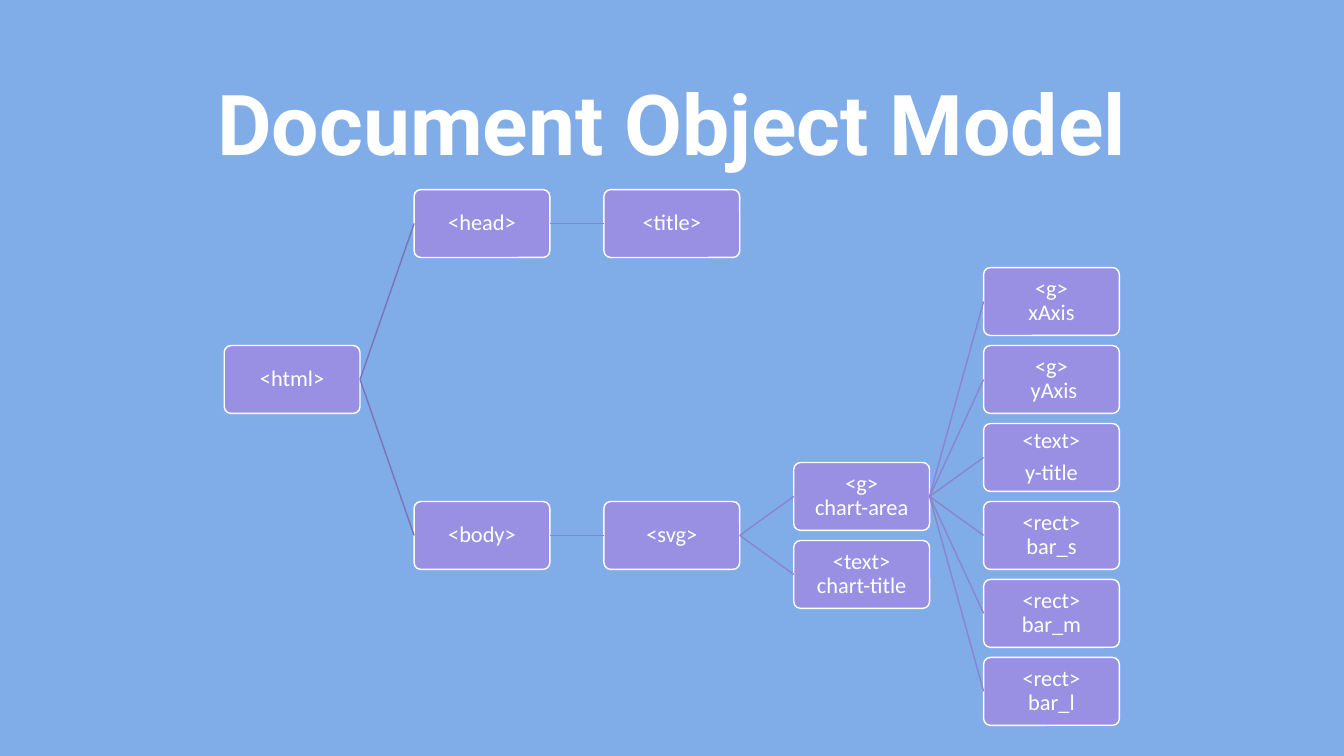
"""Build a slide showing the Document Object Model as a tree of elements."""
from lxml import etree
from pptx import Presentation
from pptx.dml.color import RGBColor
from pptx.enum.shapes import MSO_CONNECTOR, MSO_SHAPE
from pptx.enum.text import MSO_ANCHOR, PP_ALIGN
from pptx.oxml.ns import qn
from pptx.util import Pt

ROUNDED = MSO_SHAPE.ROUNDED_RECTANGLE
STRAIGHT = MSO_CONNECTOR.STRAIGHT
MIDDLE = MSO_ANCHOR.MIDDLE
CENTER = PP_ALIGN.CENTER
RIGHT_SIDE, LEFT_SIDE = 3, 1

TITLE = "Document Object Model"
BACKGROUND, NODE_FILL, WHITE = "80ADE7", "9A90E3", "FFFFFF"
ROOT_LINK, LINK = "7B73B6", "8C83CE"

# name: (parent, column, row, paragraphs as tuples of lines)
NODES = {
    "html": (None, 0, 2, [("<html>",)]),
    "head": ("html", 1, 0, [("<head>",)]),
    "title": ("head", 2, 0, [("<title>",)]),
    "body": ("html", 1, 4, [("<body>",)]),
    "svg": ("body", 2, 4, [("<svg>",)]),
    "chart area": ("svg", 3, 3.5, [("<g>", "chart-area")]),
    "x axis": ("chart area", 4, 1, [("<g>", "xAxis")]),
    "y axis": ("chart area", 4, 2, [("<g>", " yAxis")]),
    "y title": ("chart area", 4, 3, [("<text>",), ("y-title",)]),
    "small bar": ("chart area", 4, 4, [("<rect>", "bar_s")]),
    "medium bar": ("chart area", 4, 5, [("<rect>", "bar_m")]),
    "large bar": ("chart area", 4, 6, [("<rect>", "bar_l")]),
    "chart title": ("svg", 3, 4.5, [("<text>", "chart-title")]),
}

SLIDE_WIDTH, SLIDE_HEIGHT = 960, 540
TREE_LEFT, TREE_TOP = 160.2, 135.4
COLUMN_STEP, ROW_STEP = 135.6, 55.7
NODE_WIDTH, NODE_HEIGHT = 97, 48.5


def color(value):
    return RGBColor.from_string(value)


def style_paragraph(paragraph, font_name, size, bold=False):
    paragraph.alignment = CENTER
    font = paragraph.font
    font.name, font.size, font.bold = font_name, Pt(size), bold
    font.color.rgb = color(WHITE)


def add_title(slide):
    box = slide.shapes.add_textbox(0, Pt(47.5), Pt(SLIDE_WIDTH), Pt(80))
    box.text_frame.word_wrap = True
    paragraph = box.text_frame.paragraphs[0]
    paragraph.text = TITLE
    style_paragraph(paragraph, "Roboto", 60, True)


def add_node(slide, column, row, paragraphs):
    shape = slide.shapes.add_shape(
        ROUNDED,
        Pt(TREE_LEFT + column * COLUMN_STEP), Pt(TREE_TOP + row * ROW_STEP),
        Pt(NODE_WIDTH), Pt(NODE_HEIGHT))
    shape.adjustments[0] = 0.1
    shape.shadow.inherit = False
    shape.fill.solid()
    shape.fill.fore_color.rgb = color(NODE_FILL)
    shape.line.color.rgb = color(WHITE)
    shape.line.width = Pt(1)
    frame = shape.text_frame
    frame.word_wrap = True
    frame.vertical_anchor = MIDDLE
    frame.margin_left = frame.margin_right = Pt(1)
    frame.margin_top = frame.margin_bottom = Pt(1)
    for index, lines in enumerate(paragraphs):
        paragraph = frame.add_paragraph() if index else frame.paragraphs[0]
        for number, line in enumerate(lines):
            if number:
                paragraph.add_line_break()
            paragraph.add_run().text = line
        style_paragraph(paragraph, "Calibri", 16)
        paragraph.line_spacing = 0.9
        paragraph.space_after = Pt(5.6)
    return shape


def add_link(slide, parent, child, line_color):
    connector = slide.shapes.add_connector(STRAIGHT, 0, 0, 0, 0)
    connector.begin_connect(parent, RIGHT_SIDE)
    connector.end_connect(child, LEFT_SIDE)
    connector.line.color.rgb = color(line_color)
    connector.line.width = Pt(1)
    etree.SubElement(connector._element.spPr, qn("a:effectLst"))


def main():
    presentation = Presentation()
    presentation.slide_width = Pt(SLIDE_WIDTH)
    presentation.slide_height = Pt(SLIDE_HEIGHT)
    slide = presentation.slides.add_slide(presentation.slide_layouts[6])
    slide.background.fill.solid()
    slide.background.fill.fore_color.rgb = color(BACKGROUND)
    add_title(slide)
    shapes = {}
    for name, (parent, column, row, paragraphs) in NODES.items():
        shapes[name] = add_node(slide, column, row, paragraphs)
        if parent:
            line_color = ROOT_LINK if parent == "html" else LINK
            add_link(slide, shapes[parent], shapes[name], line_color)
    presentation.save("out.pptx")


if __name__ == "__main__":
    main()
